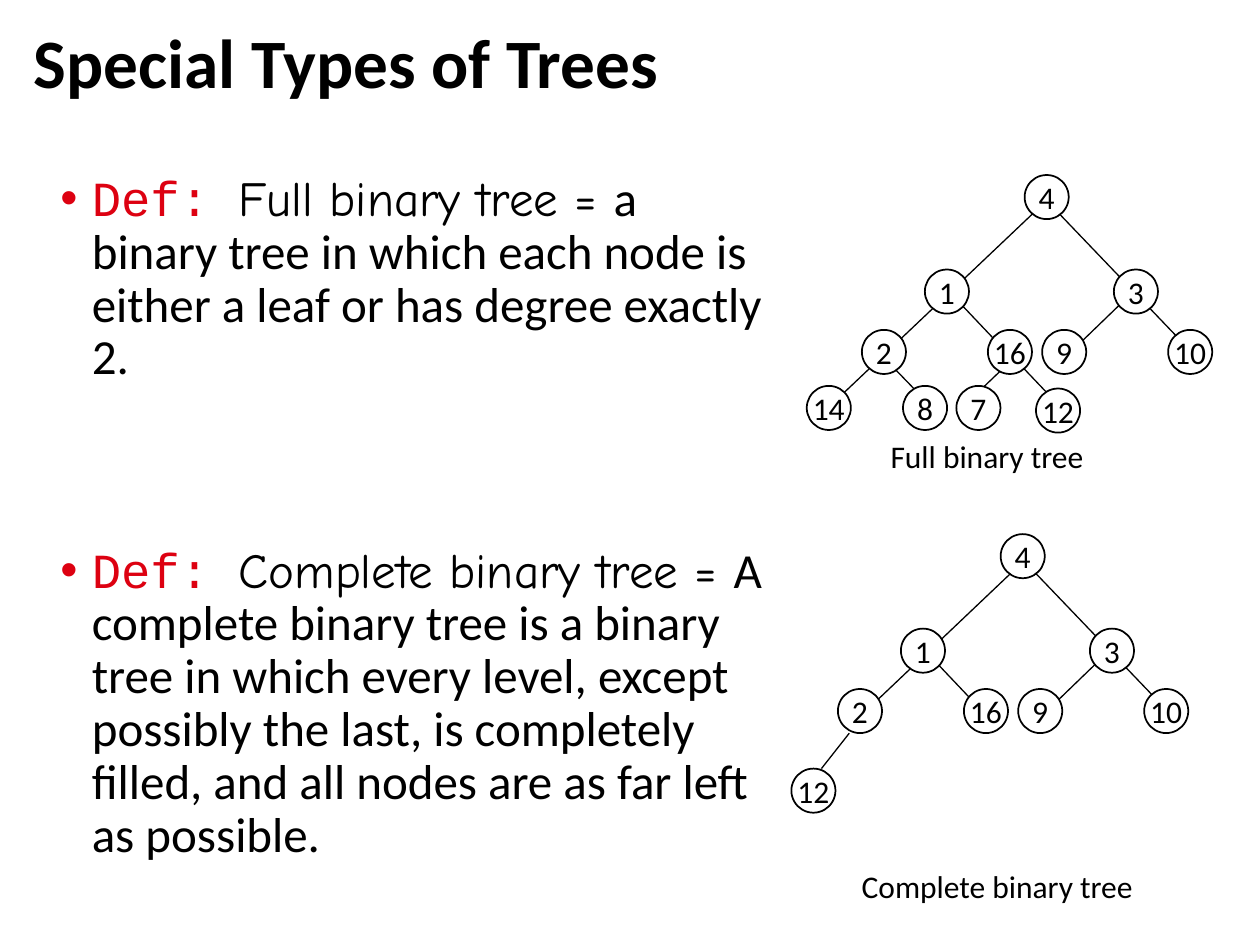
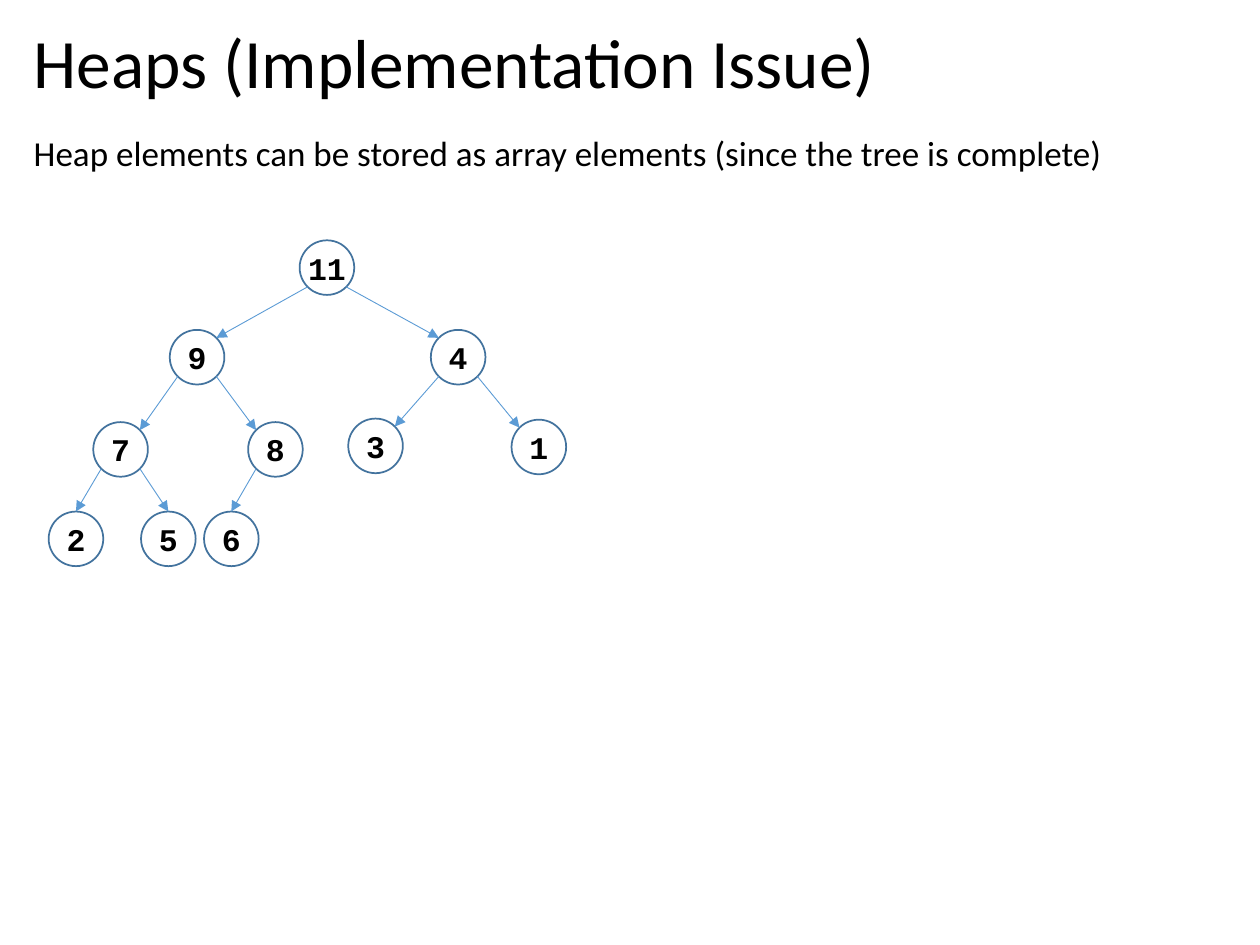
from math import sqrt
from lxml.etree import SubElement
from pptx import Presentation
from pptx.dml.color import RGBColor
from pptx.enum.shapes import MSO_CONNECTOR as Connector, MSO_SHAPE as Shape
from pptx.enum.text import MSO_ANCHOR as Anchor, PP_ALIGN as Align
from pptx.oxml.ns import qn
from pptx.util import Pt

color = RGBColor.from_string
BLACK, WHITE, RED = "000000", "FFFFFF", "DD0111"
NODE_BLUE, ARROW_BLUE = "43739E", "5B9BD5"
BODY_FONT, TERM_FONT, CODE_FONT = "Calibri", "Comic Neue", "Courier New"


def add_line(slide, start, end, line_color, width):
    line = slide.shapes.add_connector(Connector.STRAIGHT, *map(Pt, start + end))
    line.line.color.rgb = color(line_color)
    line.line.width = Pt(width)
    SubElement(line._element.spPr, qn("a:effectLst"))
    return line


def add_node(slide, label, left, top, size, line_color, font_name):
    node = slide.shapes.add_shape(Shape.OVAL, Pt(left), Pt(top), Pt(size), Pt(size))
    node.shadow.inherit = False
    node.fill.background()
    node.line.color.rgb = color(line_color)
    node.line.width = Pt(1)
    frame = node.text_frame
    frame.margin_left = frame.margin_right = frame.margin_top = frame.margin_bottom = 0
    frame.vertical_anchor = Anchor.MIDDLE
    frame.word_wrap = False
    paragraph = frame.paragraphs[0]
    paragraph.text = label
    paragraph.alignment = Align.CENTER
    paragraph.font.size = Pt(18)
    paragraph.font.name = font_name
    paragraph.font.color.rgb = color(BLACK)
    return node


presentation = Presentation()
presentation.slide_width, presentation.slide_height = Pt(720), Pt(540)
blank = presentation.slide_layouts[6]
trees_slide = presentation.slides.add_slide(blank)
heaps_slide = presentation.slides.add_slide(blank)

title_box = (12.2, 13, 692.6, 53.3)
texts = [
    (trees_slide, "Special Types of Trees", title_box, 39.6, True, True),
    (heaps_slide, "Heaps (Implementation Issue)", title_box, 39.6, False, True),
    (heaps_slide, "Heap elements can be stored as array elements (since the tree is complete)",
     (12.2, 74.2, 692.6, 412.6), 20, False, True),
    (trees_slide, "Full binary tree", (501.8, 246.2, 133.2, 29), 18, False, False),
    (trees_slide, "Complete binary tree", (485.3, 491.8, 181.4, 29), 18, False, False),
]
for slide, text, box, size, bold, wrap in texts:
    frame = slide.shapes.add_textbox(*map(Pt, box)).text_frame
    frame.word_wrap = wrap
    paragraph = frame.paragraphs[0]
    paragraph.text = text
    paragraph.line_spacing = 0.9 if wrap else 1.0
    paragraph.font.size = Pt(size)
    paragraph.font.bold = bold
    paragraph.font.name = BODY_FONT
    paragraph.font.color.rgb = color(BLACK)

definitions = [
    ("Full binary tree = ",
     "a binary tree in which each node is either a leaf or has degree exactly 2.", 0),
    ("Complete binary tree = ",
     "A complete binary tree is a binary tree in which every level, except possibly the last, "
     "is completely filled, and all nodes are as far left as possible.", 91.5),
]
frame = trees_slide.shapes.add_textbox(Pt(27.4), Pt(95.8), Pt(417.6), Pt(405.4)).text_frame
frame.word_wrap = True
for index, (term, meaning, space_before) in enumerate(definitions):
    paragraph = frame.add_paragraph() if index else frame.paragraphs[0]
    paragraph.line_spacing = 0.9
    paragraph.space_before = Pt(space_before)
    properties = paragraph._p.get_or_add_pPr()
    properties.set("marL", str(Pt(18)))
    properties.set("indent", str(-Pt(18)))
    SubElement(properties, qn("a:buFont"), typeface="Arial")
    SubElement(properties, qn("a:buChar"), char="•")
    paragraph.font.size = Pt(28)
    for text, font_name, text_color in [("Def: ", CODE_FONT, RED), (term, TERM_FONT, BLACK),
                                        (meaning, BODY_FONT, BLACK)]:
        run = paragraph.add_run()
        run.text = text
        run.font.size = Pt(28)
        run.font.name = font_name
        run.font.color.rgb = color(text_color)

upper_nodes = [("4", 585.5, 100), ("1", 528.5, 154), ("3", 636.5, 154), ("2", 492.5, 188.5),
               ("16", 564.5, 188.5), ("9", 595.5, 188.5), ("10", 667.5, 188.5)]
upper_edges = [((608.4, 204.5), (648.7, 165.6)), ((578.2, 204.5), (540, 164.2)),
               ((686.9, 207.4), (590.4, 106.6))]
full_nodes = [("14", 461, 220.5), ("8", 516, 220.5), ("7", 546.5, 220.5), ("12", 592, 222)]
full_edges = [((474.5, 231.8), (600.5, 112.3)), ((614.2, 241.2), (572.4, 197.3)),
              ((550.1, 232.6), (582.5, 201.6)), ((538.6, 239), (496.8, 195.8))]
complete_nodes = [("12", 465.9, 234)]
complete_edges = [((501.1, 208.1), (602.7, 111.6)), ((483.1, 234), (499, 213.8))]

for shift_x, shift_y, lower_nodes, lower_edges in [(0, 0, full_nodes, full_edges),
                                                   (-13.7, 205.2, complete_nodes, complete_edges)]:
    for (x1, y1), (x2, y2) in upper_edges + lower_edges:
        add_line(trees_slide, (x1 + shift_x, y1 + shift_y), (x2 + shift_x, y2 + shift_y), BLACK, 0.75)
    for label, left, top in upper_nodes + lower_nodes:
        node = add_node(trees_slide, label, left + shift_x, top + shift_y, 25.2, BLACK, BODY_FONT)
        node.fill.solid()
        node.fill.fore_color.rgb = color(WHITE)

heap_size = 31.2
near = heap_size / 2 * (1 - sqrt(0.5))
far = heap_size - near
leaf_top = 292.3
heap = {
    "11": (171.2, 137.3, None),
    "9": (97, 188.5, "11"), "4": (246.2, 188.5, "11"),
    "7": (53.3, 241.2, "9"), "8": (141.8, 241.2, "9"),
    "3": (199, 239.2, "4"), "1": (292.3, 239.8, "4"),
    "2": (27.8, leaf_top, "7"), "5": (80.6, leaf_top, "7"), "6": (116.6, leaf_top, "8"),
}
for label, (left, top, parent) in heap.items():
    node = add_node(heaps_slide, label, left, top, heap_size, NODE_BLUE, CODE_FONT)
    node.text_frame.paragraphs[0].font.bold = True
    if parent:
        parent_left, parent_top, _ = heap[parent]
        start_x, end_x = (near, far) if left < parent_left else (far, near)
        arrow = add_line(heaps_slide, (parent_left + start_x, parent_top + far),
                         (left + end_x, top + near), ARROW_BLUE, 0.5)
        SubElement(arrow.line._get_or_add_ln(), qn("a:tailEnd"), type="triangle")
        if top == leaf_top:
            arrow.end_connect(node, 0)

presentation.save("out.pptx")
